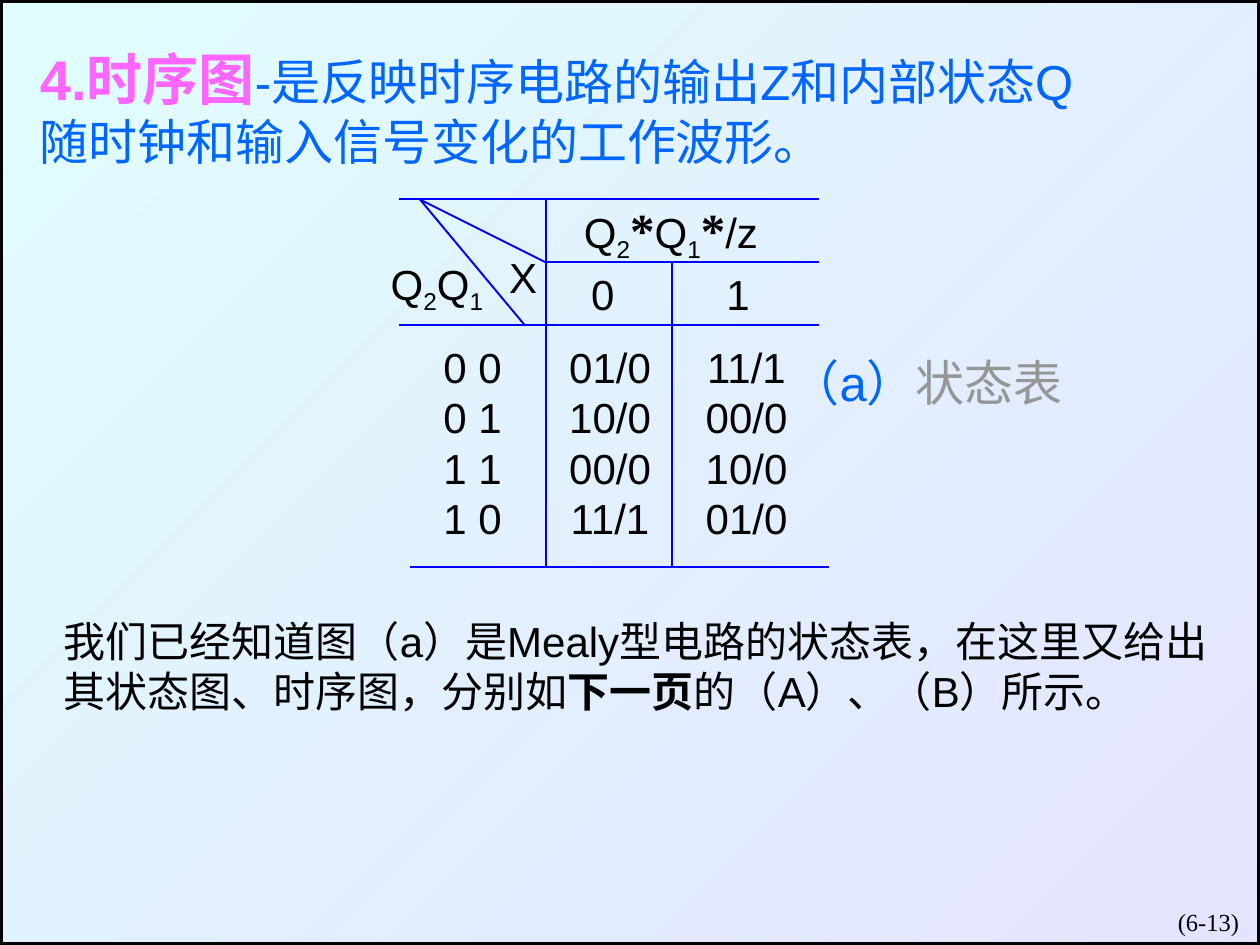
"""Build the slide on timing diagrams with the state table of a sequential circuit."""
from dataclasses import dataclass

from lxml.etree import SubElement
from pptx import Presentation
from pptx.dml.color import RGBColor
from pptx.enum.shapes import MSO_CONNECTOR, MSO_SHAPE
from pptx.enum.text import MSO_ANCHOR, MSO_AUTO_SIZE, PP_ALIGN
from pptx.oxml.ns import qn
from pptx.slide import Slide
from pptx.util import Inches, Pt

COLUMNS, ROWS = 120, 90
SLIDE_WIDTH, SLIDE_HEIGHT = Inches(10), Inches(7.5)


@dataclass(frozen=True)
class Theme:
    ink: str = "000000"
    topic: str = "FF66FF"
    accent: str = "0066FF"
    muted: str = "969696"
    rule: str = "0000FF"
    gradient: tuple = (("CCFFFF", 59), ("CCCCFF", 51))
    sans: str = "Arial"
    serif: str = "Times New Roman"
    topic_size: int = 32
    heading_size: int = 28
    text_size: int = 24
    page_size: int = 14
    rule_width: float = 1.1
    border_width: int = 3


THEME = Theme()


@dataclass(frozen=True)
class Span:
    text: str
    size: int = THEME.text_size
    color: str = THEME.ink
    font: str = THEME.sans
    bold: bool = False
    subscript: bool = False


@dataclass(frozen=True)
class Block:
    column: float
    row: float
    columns: float
    rows: float
    paragraphs: list
    align: PP_ALIGN = PP_ALIGN.CENTER
    anchor: MSO_ANCHOR = MSO_ANCHOR.MIDDLE
    wrap: bool = False
    grow: bool = True


@dataclass(frozen=True)
class Rule:
    column: float
    row: float
    end_column: float
    end_row: float


def across(columns: float) -> int:
    """Turn grid columns into a length."""
    return round(SLIDE_WIDTH * columns / COLUMNS)


def down(rows: float) -> int:
    """Turn grid rows into a length."""
    return round(SLIDE_HEIGHT * rows / ROWS)


def fill_block(holder, block: Block) -> None:
    """Place a text holder and write its paragraphs run by run."""
    holder.left, holder.top = across(block.column), down(block.row)
    holder.width, holder.height = across(block.columns), down(block.rows)
    frame = holder.text_frame
    frame.word_wrap = block.wrap
    frame.auto_size = MSO_AUTO_SIZE.SHAPE_TO_FIT_TEXT if block.grow else MSO_AUTO_SIZE.NONE
    frame.vertical_anchor = block.anchor
    for index, spans in enumerate(block.paragraphs):
        paragraph = frame.add_paragraph() if index else frame.paragraphs[0]
        paragraph.alignment = block.align
        for span in spans:
            run = paragraph.add_run()
            run.text = span.text
            run.font.size = Pt(span.size)
            run.font.name = span.font
            run.font.bold = span.bold
            run.font.color.rgb = RGBColor.from_string(span.color)
            if span.subscript:
                run.font._element.set("baseline", "-25000")


def draw_block(slide: Slide, block: Block) -> None:
    """Add a text box for one block."""
    fill_block(slide.shapes.add_textbox(0, 0, across(1), down(1)), block)


def draw_rule(slide: Slide, rule: Rule) -> None:
    """Add one line of the state table."""
    line = slide.shapes.add_connector(
        MSO_CONNECTOR.STRAIGHT,
        across(rule.column), down(rule.row), across(rule.end_column), down(rule.end_row),
    )
    line.line.color.rgb = RGBColor.from_string(THEME.rule)
    line.line.width = Pt(THEME.rule_width)
    SubElement(line._element.spPr, qn("a:effectLst"))


def draw_backdrop(slide: Slide) -> None:
    """Put the framed translucent gradient behind everything."""
    backdrop = slide.shapes.add_shape(MSO_SHAPE.RECTANGLE, 0, 0, SLIDE_WIDTH, SLIDE_HEIGHT)
    backdrop.shadow.inherit = False
    backdrop.fill.gradient()
    backdrop.fill.gradient_angle = 315
    for stop, (color, _) in zip(backdrop.fill.gradient_stops, THEME.gradient):
        stop.color.rgb = RGBColor.from_string(color)
    tints = backdrop._element.spPr.findall(".//" + qn("a:srgbClr"))
    for tint, (_, opacity) in zip(tints, THEME.gradient):
        SubElement(tint, qn("a:alpha")).set("val", str(opacity * 1000))
    backdrop.line.color.rgb = RGBColor.from_string(THEME.ink)
    backdrop.line.width = Pt(THEME.border_width)
    slide.shapes._spTree.insert(2, backdrop._element)


def entries(column: float, columns: float, values: list) -> Block:
    """Describe one column of table entries."""
    return Block(column, 31.9, columns, 20.4, [[Span(value)] for value in values],
                 wrap=column < 52)


def heading(text: str) -> Span:
    """Describe a run of accented heading text."""
    return Span(text, THEME.heading_size, THEME.accent)


ONE, TWO = Span("1", subscript=True), Span("2", subscript=True)
STAR = Span("*", THEME.heading_size, font=THEME.serif, bold=True)

TITLE = Block(2.6, 3.6, 112, 13.2, [
    [Span("4.时序图", THEME.topic_size, THEME.topic, bold=True),
     heading("-是反映时序电路的输出Z和内部状态Q")],
    [heading("随时钟和输入信号变化的工作波形。")],
], align=PP_ALIGN.LEFT, wrap=True)

RULES = [
    Rule(38, 19, 78, 19),
    Rule(52, 25, 78, 25),
    Rule(38, 31, 78, 31),
    Rule(39, 54, 79, 54),
    Rule(52, 19, 52, 54),
    Rule(64, 25, 64, 54),
    Rule(40, 19, 52, 25),
    Rule(40, 19, 50, 31),
]

BLOCKS = [
    Block(54.4, 18.4, 19, 7.3, [[Span("Q"), TWO, STAR, Span("Q"), ONE, STAR, Span("/z")]]),
    Block(47.3, 23.4, 5, 6, [[Span("X")]]),
    Block(36, 24, 11.2, 6.7, [[Span("Q"), TWO, Span("Q"), ONE]]),
    Block(55.1, 25, 4.6, 6, [[Span("0")]]),
    Block(68, 25, 4.6, 6, [[Span("1")]]),
    entries(40, 10, ["0 0", "0 1", "1 1", "1 0"]),
    entries(53, 10.2, ["01/0", "10/0", "00/0", "11/1"]),
    entries(66, 10.2, ["11/1", "00/0", "10/0", "01/0"]),
    Block(73, 33, 30.5, 6.8, [[heading("（a）"),
                               Span("状态表", THEME.heading_size, THEME.muted)]]),
    Block(4.9, 58, 113.2, 10.8, [[
        Span("我们已经知道图（a）是Mealy型电路的状态表，在这里又给出其状态图、时序图，分别如"),
        Span("下一页", bold=True),
        Span("的（A）、（B）所示。"),
    ]], align=PP_ALIGN.LEFT, wrap=True),
    Block(94.2, 85.8, 25, 6, [[Span("(6-13)", THEME.page_size, font=THEME.serif)]],
          align=PP_ALIGN.RIGHT, anchor=MSO_ANCHOR.TOP, wrap=True, grow=False),
]


def main() -> None:
    """Assemble and save the slide."""
    deck = Presentation()
    deck.slide_width, deck.slide_height = SLIDE_WIDTH, SLIDE_HEIGHT
    slide = deck.slides.add_slide(deck.slide_layouts[5])
    draw_backdrop(slide)
    fill_block(slide.shapes.title, TITLE)
    for rule in RULES:
        draw_rule(slide, rule)
    for block in BLOCKS:
        draw_block(slide, block)
    deck.save("out.pptx")


if __name__ == "__main__":
    main()
